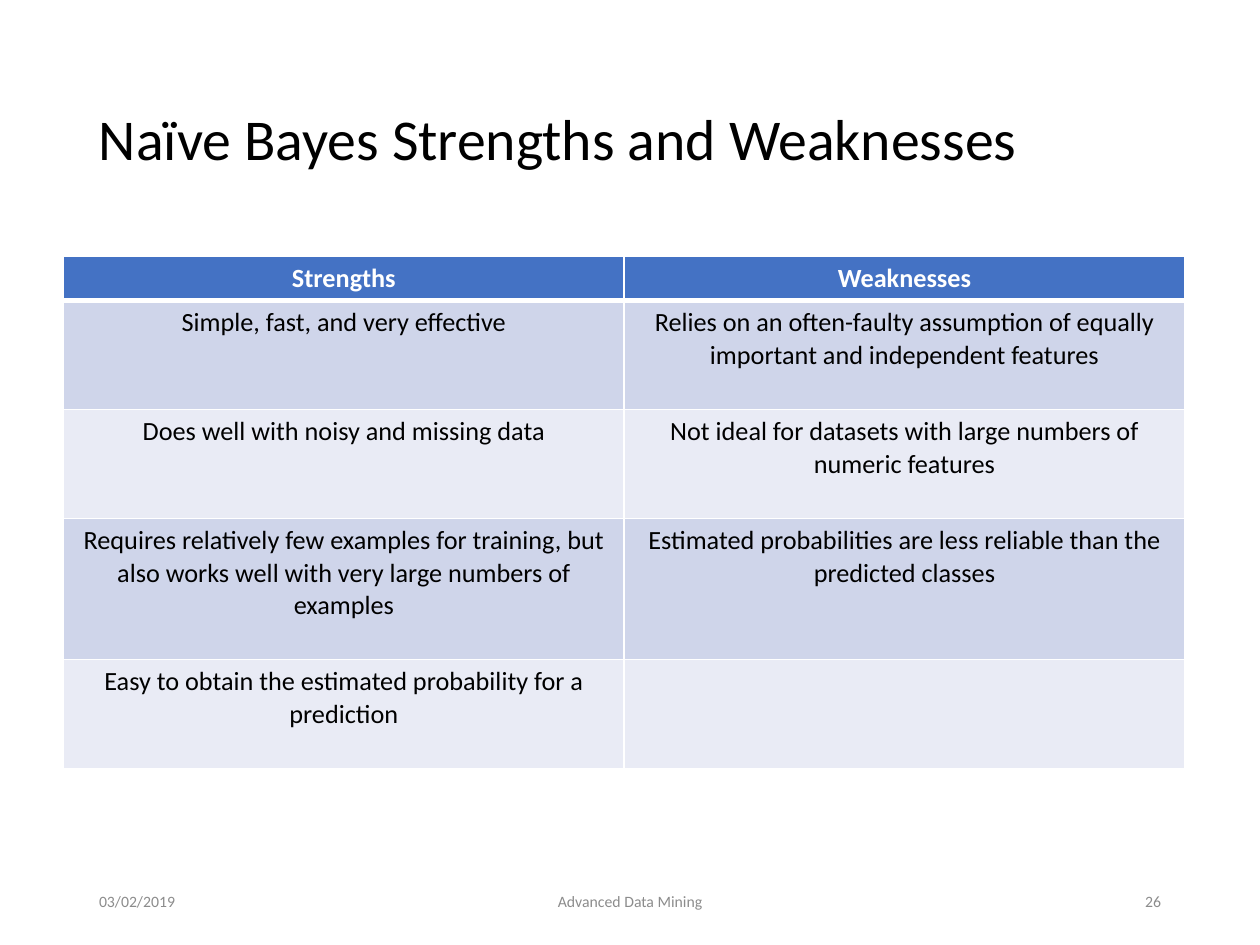
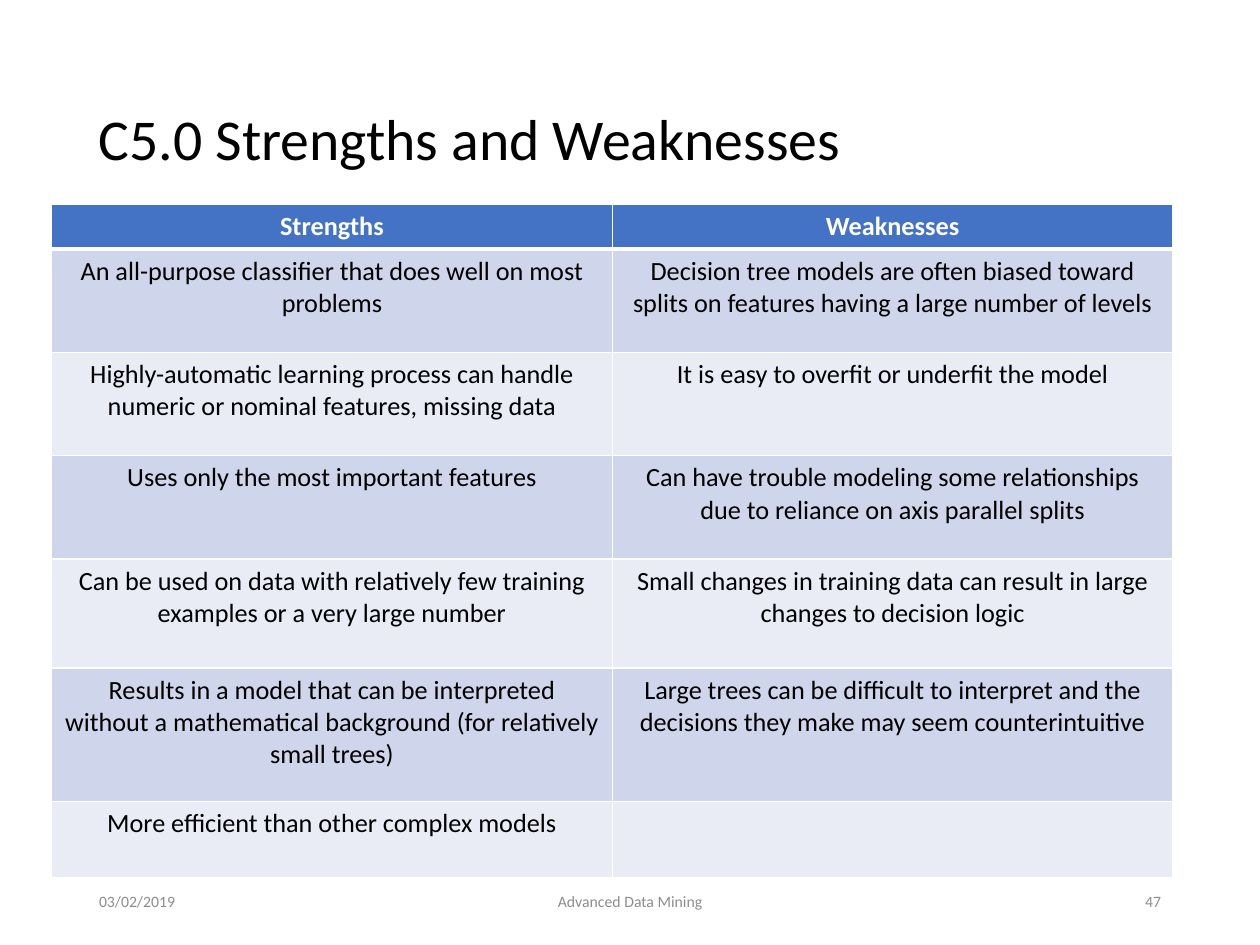
from dataclasses import dataclass

from lxml import etree
from pptx import Presentation
from pptx.dml.color import RGBColor
from pptx.enum.text import MSO_ANCHOR, PP_ALIGN
from pptx.oxml.ns import qn
from pptx.util import Pt


@dataclass(frozen=True)
class Theme:
    font: str = "Calibri"
    title_size: float = 33
    table_size: float = 15
    footer_size: float = 9
    ink: str = "000000"
    muted: str = "8C8C8C"
    white: str = "FFFFFF"
    header: str = "4472C4"
    bands: tuple = ("CFD5EA", "E9EBF5")
    rule: float = 1
    header_rule: float = 3


THEME = Theme()
COLUMN_WIDTH = 320.4
MARGIN = 49.5
CONTENT_WIDTH = 621
FOOTER_TOP, FOOTER_HEIGHT = 500.5, 28.75

# Each comparison row: height in points, strength, weakness
NAIVE_BAYES = [
    (25.6, "Strengths", "Weaknesses"),
    (62.3, "Simple, fast, and very effective",
     "Relies on an often-faulty assumption of equally important and independent features"),
    (62.3, "Does well with noisy and missing data",
     "Not ideal for datasets with large numbers of numeric features"),
    (80.6, "Requires relatively few examples for training, but also works well "
     "with very large numbers of examples",
     "Estimated probabilities are less reliable than the predicted classes"),
    (62.3, "Easy to obtain the estimated probability for a prediction", ""),
]
C50 = [
    (25.6, "Strengths", "Weaknesses"),
    (59, "An all-purpose classifier that does well on most problems",
     "Decision tree models are often biased toward splits on features having "
     "a large number of levels"),
    (59, "Highly-automatic learning process can handle numeric or nominal features, missing data",
     "It is easy to overfit or underfit the model"),
    (59, "Uses only the most important features",
     "Can have trouble modeling some relationships due to reliance on axis parallel splits"),
    (62.3, "Can be used on data with relatively few training examples or a very large number",
     "Small changes in training data can result in large changes to decision logic"),
    (76.3, "Results in a model that can be interpreted without a mathematical background "
     "(for relatively small trees)",
     "Large trees can be difficult to interpret and the decisions they make "
     "may seem counterintuitive"),
    (43.5, "More efficient than other complex models", ""),
]


def style_text(frame, size, color, align=PP_ALIGN.LEFT, bold=False):
    for paragraph in frame.paragraphs:
        paragraph.alignment = align
        for run in paragraph.runs:
            run.font.name = THEME.font
            run.font.size = Pt(size)
            run.font.bold = bold
            run.font.color.rgb = RGBColor.from_string(color)


def add_label(slide, words, left, top, width, height, size, color, align=PP_ALIGN.LEFT):
    frame = slide.shapes.add_textbox(Pt(left), Pt(top), Pt(width), Pt(height)).text_frame
    frame.word_wrap = True
    frame.vertical_anchor = MSO_ANCHOR.MIDDLE
    frame.text = words
    style_text(frame, size, color, align)
    return frame


def add_title(slide, words):
    title = add_label(slide, words, MARGIN, 28.75, CONTENT_WIDTH, 104.4,
                      THEME.title_size, THEME.ink)
    title.paragraphs[0].line_spacing = 0.9


def add_footer(slide, number):
    side, middle = 162, 243
    for words, left, width, align in (
        ("03/02/2019", MARGIN, side, PP_ALIGN.LEFT),
        ("Advanced Data Mining", MARGIN + (CONTENT_WIDTH - middle) / 2, middle, PP_ALIGN.CENTER),
        (str(number), MARGIN + CONTENT_WIDTH - side, side, PP_ALIGN.RIGHT),
    ):
        add_label(slide, words, left, FOOTER_TOP, width, FOOTER_HEIGHT,
                  THEME.footer_size, THEME.muted, align)


def set_borders(cell, top, bottom):
    """Draw white rules on all four sides; top and bottom give their widths."""
    properties = cell._tc.get_or_add_tcPr()
    sides = (("lnL", THEME.rule), ("lnR", THEME.rule), ("lnT", top), ("lnB", bottom))
    for position, (side, width) in enumerate(sides):
        line = etree.Element(qn(f"a:{side}"), w=str(Pt(width)))
        fill = etree.SubElement(line, qn("a:solidFill"))
        etree.SubElement(fill, qn("a:srgbClr"), val=THEME.white)
        properties.insert(position, line)


def fill_cell(cell, words, row):
    is_header = row == 0
    cell.fill.solid()
    cell.fill.fore_color.rgb = RGBColor.from_string(
        THEME.header if is_header else THEME.bands[(row - 1) % 2])
    set_borders(cell,
                top=THEME.header_rule if row == 1 else THEME.rule,
                bottom=THEME.header_rule if is_header else THEME.rule)
    cell.text_frame.text = words
    style_text(cell.text_frame, THEME.table_size,
               THEME.white if is_header else THEME.ink, PP_ALIGN.CENTER, is_header)


def add_comparison(slide, rows, left, top):
    height = sum(row[0] for row in rows)
    comparison = slide.shapes.add_table(
        len(rows), 2, Pt(left), Pt(top), Pt(2 * COLUMN_WIDTH), Pt(height)).table
    comparison.horz_banding = False
    for column in comparison.columns:
        column.width = Pt(COLUMN_WIDTH)
    for index, (row_height, *points) in enumerate(rows):
        comparison.rows[index].height = Pt(row_height)
        for side, words in enumerate(points):
            fill_cell(comparison.cell(index, side), words, index)


def add_comparison_slide(deck, title, rows, left, top, number):
    slide = deck.slides.add_slide(deck.slide_layouts[6])
    add_title(slide, title)
    add_comparison(slide, rows, left, top)
    add_footer(slide, number)


def main():
    deck = Presentation()
    deck.slide_width, deck.slide_height = Pt(720), Pt(540)
    add_comparison_slide(deck, "Naïve Bayes Strengths and Weaknesses",
                         NAIVE_BAYES, 36.3, 146.2, 26)
    add_comparison_slide(deck, "C5.0 Strengths and Weaknesses", C50, 29.5, 116.8, 47)
    deck.save("out.pptx")


if __name__ == "__main__":
    main()
